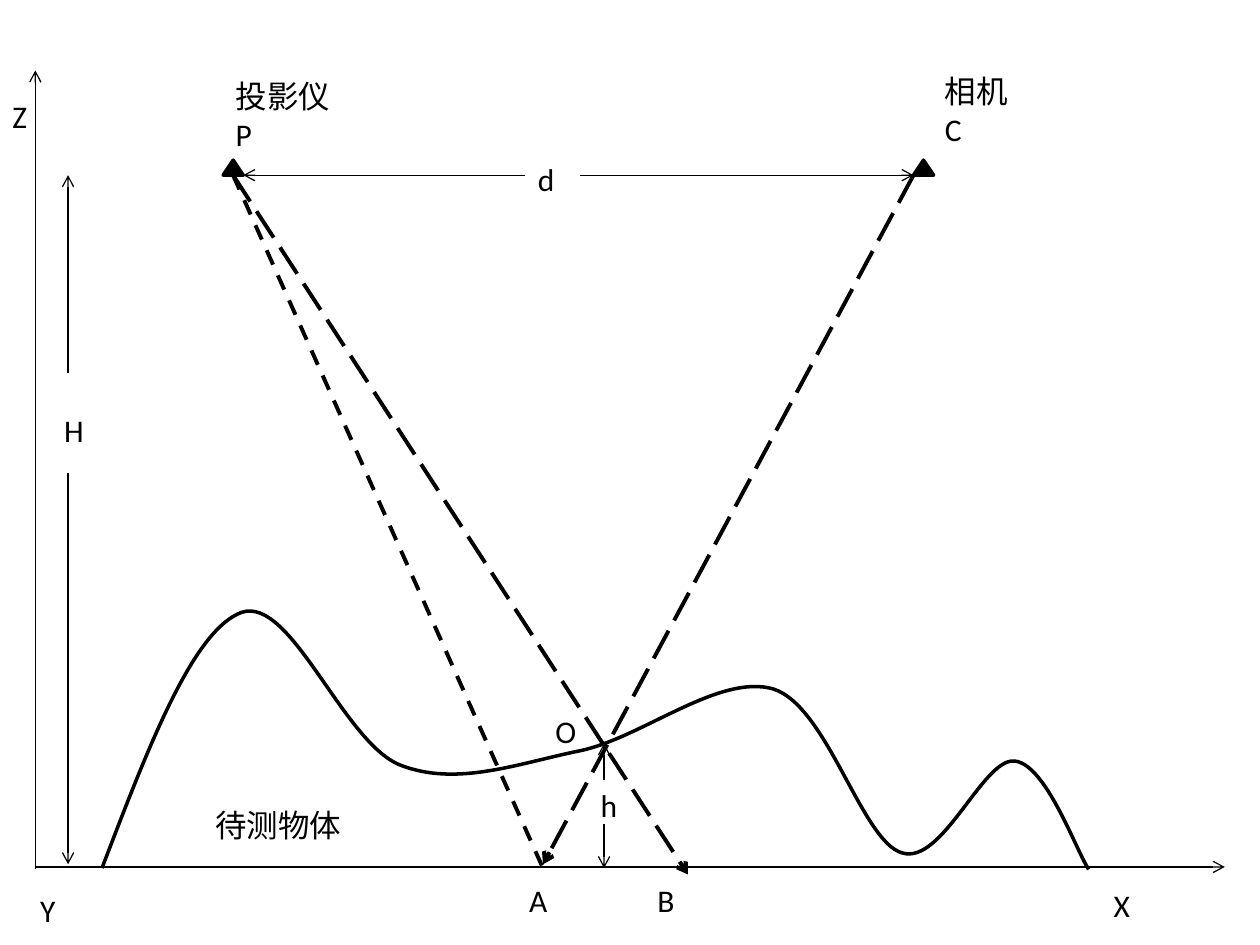
from pptx import Presentation
from pptx.dml.color import RGBColor
from pptx.enum.dml import MSO_LINE as Dash
from pptx.enum.shapes import MSO_CONNECTOR as Connector, MSO_SHAPE as Shape
from pptx.enum.text import MSO_AUTO_SIZE as AutoSize
from pptx.oxml import parse_xml
from pptx.oxml.ns import nsdecls, qn
from pptx.util import Pt

INK = "000000"
FONT = {"name": "Calibri", "size": Pt(18)}
THIN, BOLD = 0.75, 2.25
LABEL_H = 28.8

# Cubic curve: a start point, then two control points and an anchor per bend.
SURFACE_START = (0, 146.2)
SURFACE_BENDS = [
    ((25.9, 78.5), (51.8, 10.1), (79.9, 0)),
    ((108, -9.3), (137.5, 73.5), (169.9, 87.1)),
    ((202.3, 100.1), (237.6, 86.4), (272.9, 79.2)),
    ((308.2, 72), (352.8, 34.6), (383.8, 43.9)),
    ((414.7, 54), (434.2, 131.1), (457.2, 137.5)),
    ((480.2, 144.7), (503.3, 83.5), (521.3, 85)),
    ((539.3, 86.4), (556.6, 136.1), (563.8, 146.9)),
]


def color(hex_string):
    return RGBColor.from_string(hex_string)


def set_line(line, width):
    line.color.rgb = color(INK)
    line.width = Pt(width)


def add_label(slide, x, y, width, *lines, wrap=True):
    label = slide.shapes.add_textbox(Pt(x), Pt(y), Pt(width), Pt(LABEL_H * len(lines)))
    frame = label.text_frame
    frame.word_wrap = wrap
    frame.auto_size = AutoSize.SHAPE_TO_FIT_TEXT
    frame.text = "\n".join(lines)
    for paragraph in frame.paragraphs:
        for run in paragraph.runs:
            for attribute, value in FONT.items():
                setattr(run.font, attribute, value)
            run.font.color.rgb = color(INK)
    return label


def add_line(slide, start, end, width=THIN, dash=None, arrow=True):
    connector = slide.shapes.add_connector(Connector.STRAIGHT, *map(Pt, start + end))
    set_line(connector.line, width)
    if dash:
        connector.line.dash_style = dash
    if arrow:
        connector.line._get_or_add_ln().append(
            parse_xml(f'<a:tailEnd {nsdecls("a")} type="arrow"/>'))
    connector._element.spPr.append(parse_xml(f'<a:effectLst {nsdecls("a")}/>'))


def draw_axes(slide, left, top, width, height):
    bottom = top + height
    add_line(slide, (left, bottom + 1.4), (left, top))
    add_line(slide, (left, bottom), (left + width, bottom))
    add_label(slide, left - 20.2, top + 11.5, 20.2, "Z")
    add_label(slide, left + width - 70.6, bottom + 7.2, 36.7, "X")
    add_label(slide, left - 4.4, bottom + 10, 27.4, "Y")


def draw_surface(slide, left, top):
    """Draw the measured object's profile with its name below the first crest."""
    def to_emu(point):
        return tuple(map(Pt, point))

    builder = slide.shapes.build_freeform(*to_emu(SURFACE_START))
    builder.add_line_segments([to_emu(bend[-1]) for bend in SURFACE_BENDS], close=False)
    profile = builder.convert_to_shape(Pt(left), Pt(top))
    profile.shadow.inherit = False
    profile.fill.background()
    set_line(profile.line, 2)
    segments = list(profile._element.iter(qn("a:lnTo")))
    for segment, (first, second, _) in zip(segments, SURFACE_BENDS):
        segment.tag = qn("a:cubicBezTo")
        for position, control in enumerate((first, second)):
            x, y = to_emu(control)
            segment.insert(position, parse_xml(
                f'<a:pt {nsdecls("a")} x="{int(x)}" y="{int(y)}"/>'))
    add_label(slide, left + 57.6, top + 107.3, 195.8, "待测物体")


def draw_device(slide, left, top, width, height):
    marker = slide.shapes.add_shape(
        Shape.ISOSCELES_TRIANGLE, Pt(left), Pt(top), Pt(width), Pt(height))
    marker.shadow.inherit = False
    marker.fill.solid()
    marker.fill.fore_color.rgb = color(INK)
    set_line(marker.line, 2)


def draw_baseline(slide, left, top, width):
    """Place projector and camera at the ends of the distance d."""
    right = left + width
    marker_w, marker_h = 11.5, 8.6
    for marker_left in (left - marker_w, right):
        draw_device(slide, marker_left, top - marker_h, marker_w, marker_h)
    projector = add_label(slide, left - marker_w, top - 59.8, 73.4, "投影仪 P")
    projector.height = Pt(51.1)
    add_label(slide, right + 10.8, top - 62.6, 73.4, "相机", "C")
    gap_left, gap_right = left + 161.3, left + 192.2
    add_line(slide, (gap_right, top), (right, top))
    add_line(slide, (gap_left, top), (left, top))
    add_label(slide, gap_left, top - 12.2, gap_right - gap_left, "d")


def draw_rays(slide, left, top, width, height):
    """Draw the light paths P-B, C-A and P-A and name where they meet."""
    bottom = top + height
    projector, camera = (left, top), (left + width, top)
    foot = left + 177.1
    add_line(slide, projector, (left + 259.9, bottom + 3.6), BOLD, Dash.LONG_DASH)
    add_line(slide, camera, (foot, bottom - 2.2), BOLD, Dash.LONG_DASH)
    add_line(slide, projector, (foot, bottom), BOLD, Dash.DASH, arrow=False)
    add_label(slide, foot, bottom - 92.9, 49.7, "O")
    for offset, name in ((162, "A"), (235.4, "B")):
        add_label(slide, left + offset, bottom + 3.6, 49.7, name)


def draw_height(slide, x, top, bottom, gap_top, gap_bottom, name, label_x, label_y):
    """Draw a vertical dimension broken by a gap for its name."""
    add_line(slide, (x, gap_top), (x, top))
    add_line(slide, (x, gap_bottom), (x, bottom))
    add_label(slide, label_x, label_y, 25.2, name, wrap=False)


def main():
    presentation = Presentation()
    presentation.slide_width, presentation.slide_height = Pt(720), Pt(540)
    slide = presentation.slides.add_slide(presentation.slide_layouts[6])
    draw_axes(slide, 20.2, 40.3, 679.7, 455.1)
    draw_surface(slide, 58.3, 349.9)
    draw_baseline(slide, 139, 100.1, 383)
    draw_rays(slide, 133.2, 100.1, 388.8, 396)
    draw_height(slide, 38.9, 100.1, 493.9, 213.1, 270, "H", 29.5, 231.1)
    draw_height(slide, 345.2, 424.8, 496.1, 445.7, 470.9, "h", 336.2, 445.7)
    presentation.save("out.pptx")


if __name__ == "__main__":
    main()
